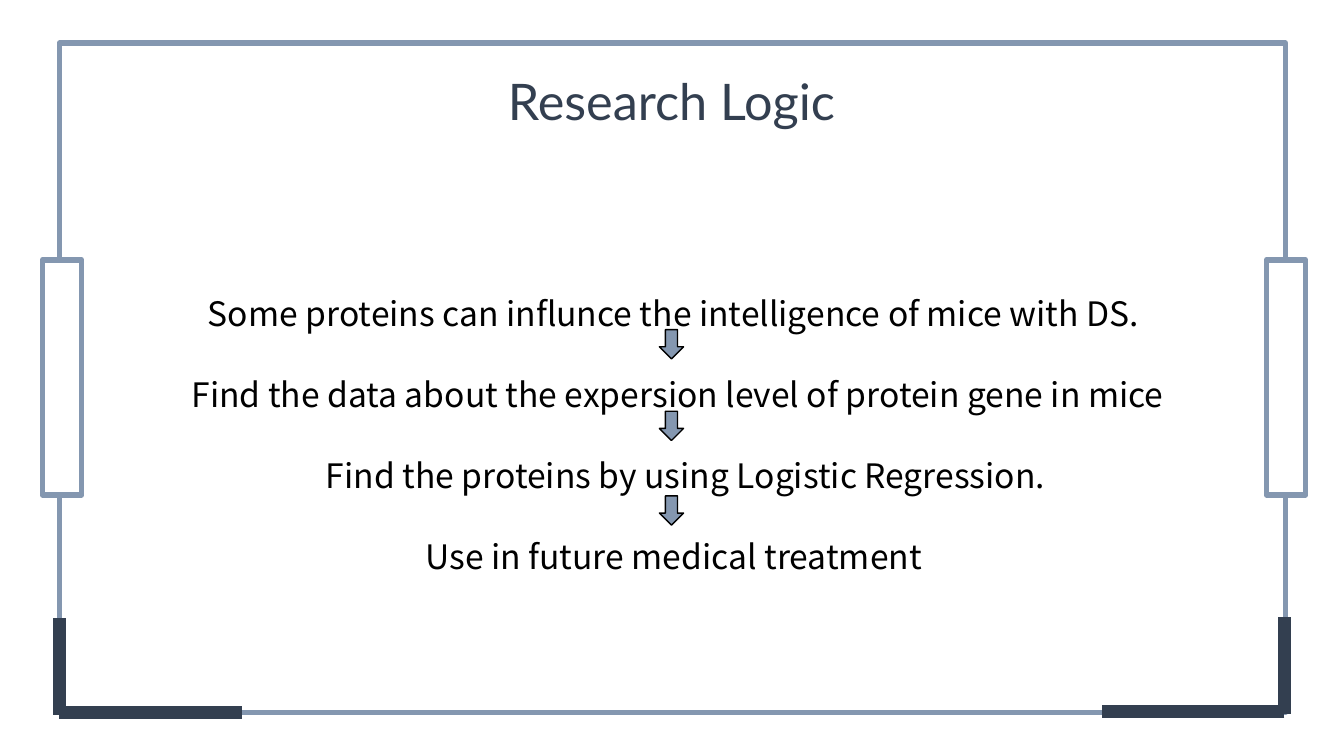
"""Build the Research Logic slide: a framed chain of four steps."""
from dataclasses import dataclass

from lxml.etree import SubElement
from pptx import Presentation
from pptx.dml.color import RGBColor
from pptx.enum.shapes import MSO_CONNECTOR as Connector, MSO_SHAPE as Shape
from pptx.enum.text import MSO_ANCHOR as Anchor, MSO_AUTO_SIZE as AutoSize, PP_ALIGN as Align
from pptx.oxml.ns import qn
from pptx.util import Inches, Pt


@dataclass(frozen=True)
class Theme:
    """Colours, fonts and sizes of the slide."""
    steel: RGBColor = RGBColor(0x84, 0x97, 0xB0)
    navy: RGBColor = RGBColor(0x33, 0x3F, 0x50)
    white: RGBColor = RGBColor(0xFF, 0xFF, 0xFF)
    black: RGBColor = RGBColor(0, 0, 0)
    title_font: str = "Lato"
    body_font: str = "Noto Sans CJK SC"
    title_size: int = 36
    body_size: int = 24
    line_height: int = 29
    frame_width: int = 4
    corner_width: int = 9
    arrow_outline: int = 1


class SlideBuilder:
    """Draws styled elements on one slide."""

    def __init__(self, slide, theme):
        """Keep the slide and its theme."""
        self.slide = slide
        self.theme = theme

    def style(self, para, font, size, color):
        """Centre a paragraph and format its runs."""
        para.alignment = Align.CENTER
        for span in para.runs:
            span.font.name = font
            span.font.size = Pt(size)
            span.font.color.rgb = color

    def title(self, text, left, top, width, height):
        """Place and format the title placeholder."""
        box = self.slide.shapes.title
        box.left, box.top = Inches(left), Inches(top)
        box.width, box.height = Inches(width), Inches(height)
        frame = box.text_frame
        frame.text = text
        frame.auto_size = AutoSize.NONE
        frame.vertical_anchor = Anchor.MIDDLE
        theme = self.theme
        self.style(frame.paragraphs[0], theme.title_font, theme.title_size, theme.navy)

    def shape(self, kind, left, top, width, height, line, line_width, fill=None):
        """Add an outlined preset shape."""
        shape = self.slide.shapes.add_shape(
            kind, Inches(left), Inches(top), Inches(width), Inches(height))
        shape.shadow.inherit = False
        if fill is None:
            shape.fill.background()
        else:
            shape.fill.solid()
            shape.fill.fore_color.rgb = fill
        shape.line.color.rgb = line
        shape.line.width = Pt(line_width)

    def corner_bar(self, start_x, start_y, end_x, end_y):
        """Add a heavy straight corner line."""
        bar = self.slide.shapes.add_connector(
            Connector.STRAIGHT, Inches(start_x), Inches(start_y), Inches(end_x), Inches(end_y))
        bar.line.color.rgb = self.theme.navy
        bar.line.width = Pt(self.theme.corner_width)
        SubElement(bar._element.spPr, qn("a:effectLst"))

    def steps(self, entries, left, top, width, height):
        """Add evenly spaced step paragraphs, each with its own indent."""
        theme = self.theme
        box = self.slide.shapes.add_textbox(
            Inches(left), Inches(top), Inches(width), Inches(height))
        frame = box.text_frame
        frame.word_wrap = True
        for index, (text, indent) in enumerate(entries):
            para = frame.add_paragraph() if index else frame.paragraphs[0]
            para.text = text
            para.line_spacing = Pt(theme.line_height)
            if index:
                para.space_before = Pt(theme.line_height)
            para._p.get_or_add_pPr().set("marL", str(Inches(indent)))
            self.style(para, theme.body_font, theme.body_size, theme.black)


def main():
    """Create and save the deck."""
    deck = Presentation()
    deck.slide_width, deck.slide_height = Inches(13.33), Inches(7.5)
    theme = Theme()
    page = SlideBuilder(deck.slides.add_slide(deck.slide_layouts[5]), theme)

    page.shape(Shape.RECTANGLE, 0.59, 0.43, 12.16, 6.64, theme.steel, theme.frame_width)
    for left in (0.42, 12.56):
        page.shape(Shape.RECTANGLE, left, 2.58, 0.39, 2.33,
                   theme.steel, theme.frame_width, theme.white)
    for corner_x, inner_x, bottom in ((0.59, 2.4, 7.07), (12.74, 10.93, 7.06)):
        page.corner_bar(corner_x, bottom, inner_x, bottom)
        page.corner_bar(corner_x, bottom + 0.02, corner_x, bottom - 0.94)

    page.title("Research Logic", 1.04, 0.64, 11.24, 0.71)
    page.steps([
        ("Some proteins can influnce the intelligence of mice with DS.", 0),
        ("Find the data about the expersion level of protein gene in mice", 0.08),
        ("Find the proteins by using Logistic Regression.", 0.24),
        ("Use in future medical treatment", 0),
    ], 1.06, 2.85, 11.24, 2.9)
    for top in (3.27, 4.08, 4.92):
        page.shape(Shape.DOWN_ARROW, 6.54, top, 0.24, 0.29,
                   theme.black, theme.arrow_outline, theme.steel)
    deck.save("out.pptx")


if __name__ == "__main__":
    main()
